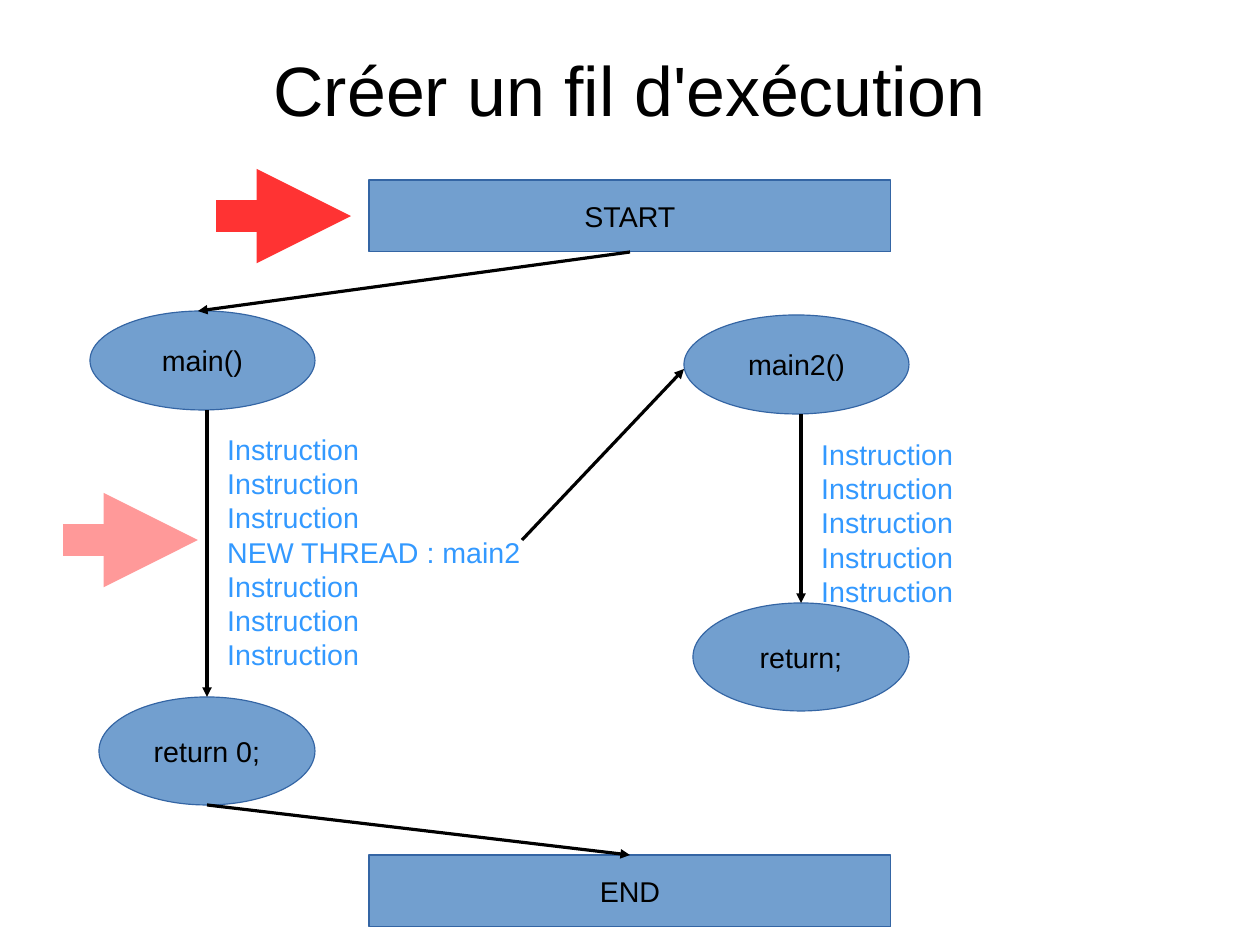
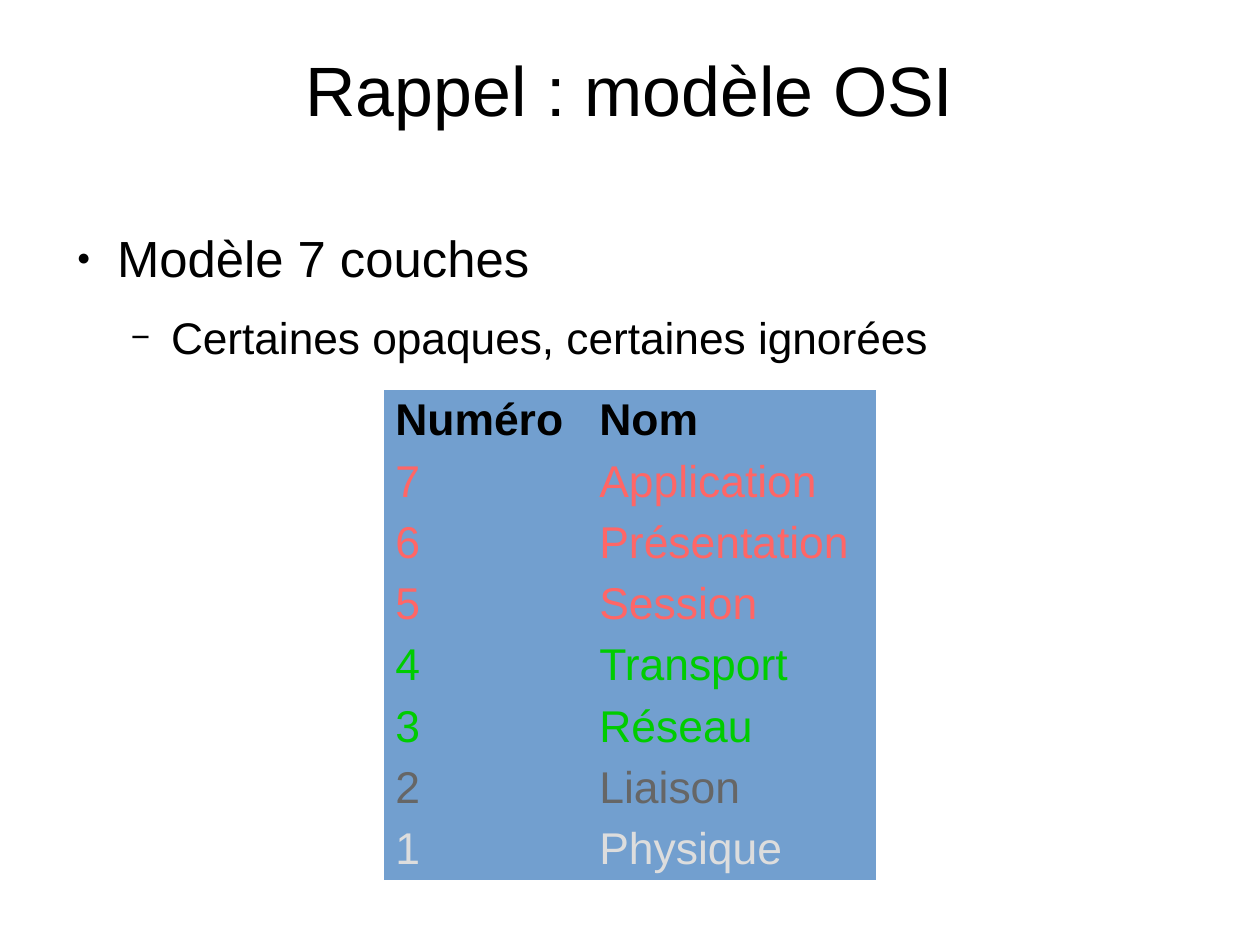
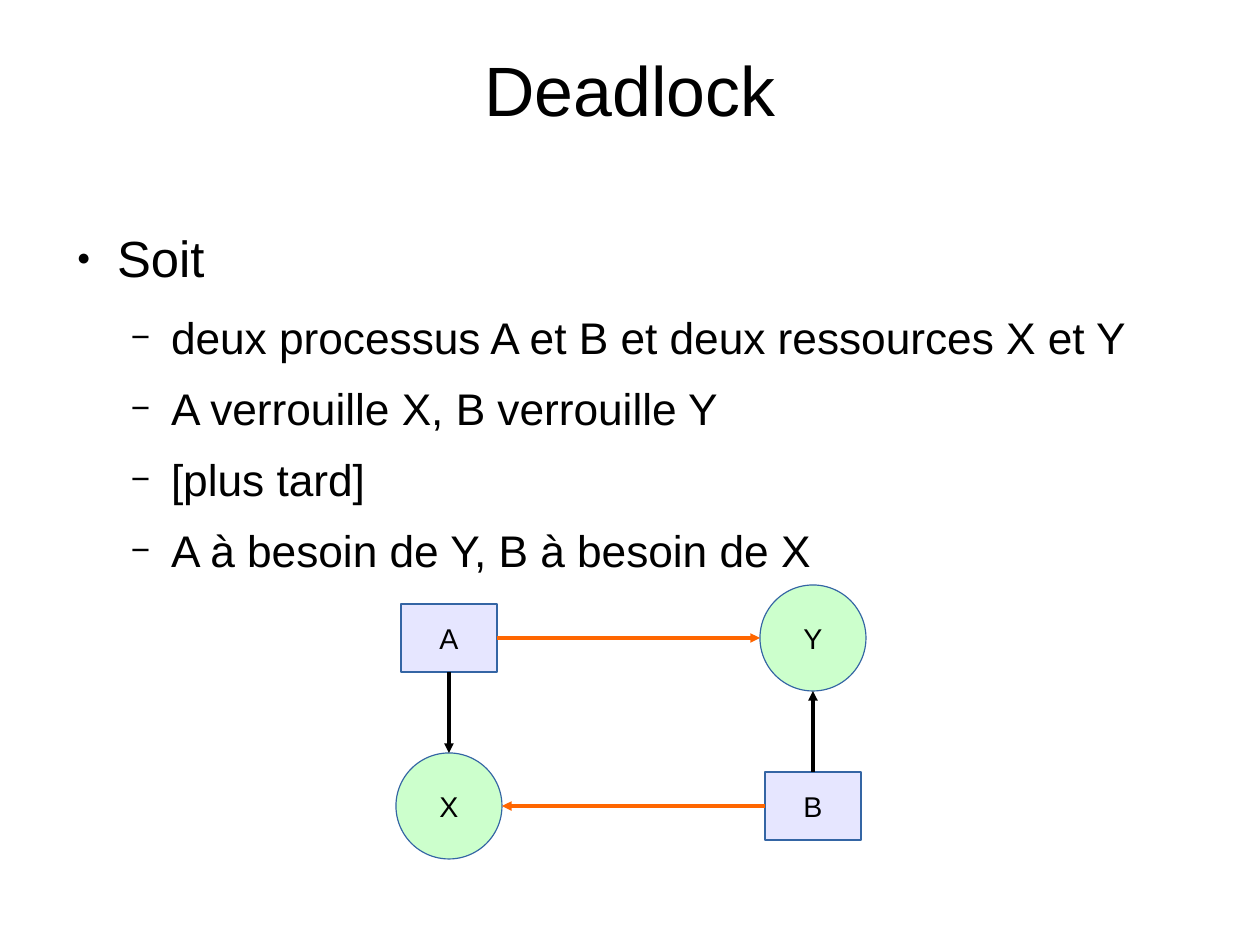
from lxml.etree import SubElement
from pptx import Presentation
from pptx.dml.color import RGBColor
from pptx.enum.shapes import MSO_CONNECTOR as Connector, MSO_SHAPE as Preset
from pptx.enum.text import MSO_ANCHOR as Anchor, MSO_AUTO_SIZE as AutoSize, PP_ALIGN as Align
from pptx.oxml.ns import qn
from pptx.util import Emu, Pt

FONT = "Arial"
BLACK, WHITE = "000000", "FFFFFF"
BLUE, OUTLINE, CODE = "729FCF", "3465A4", "3399FF"
RED, PALE_RED = "FF3333", "FF9999"
LILAC, MINT, ORANGE = "E6E6FF", "CCFFCC", "FF6600"
SALMON, GREEN, GRAY, SILVER = "FF6666", "00CC00", "666666", "DDDDDD"
NO_TABLE_STYLE = "{2D5ABB26-0587-4C30-8999-92F81FD0307C}"

# Rectangle connection sites
TOP, LEFT, BOTTOM, RIGHT = range(4)

# Per list level: character, bullet percent, text size, space after, left margin
LEVELS = [("●", 45, 32, 14.1, 54), ("−", 75, 27.9, 11.3, 108)]
HANGING = -40


def px(length):
    return Emu(length * 8000)


def rgb(value):
    return RGBColor.from_string(value)


def write(paragraph, text, size=18, color=BLACK, bold=False, align=Align.LEFT):
    paragraph.alignment = align
    run = paragraph.add_run()
    run.text = text
    font = run.font
    font.name, font.size, font.bold = FONT, Pt(size), bold
    font.color.rgb = rgb(color)


def paragraphs(frame, count):
    """Return the first paragraph of the frame and as many new ones as needed."""
    return [frame.paragraphs[0]] + [frame.add_paragraph() for _ in range(count - 1)]


def place(shape, left, top, width, height):
    shape.left, shape.top = px(left), px(top)
    shape.width, shape.height = px(width), px(height)


def format_placeholder(placeholder, box, anchor):
    place(placeholder, *box)
    frame = placeholder.text_frame
    frame.margin_left = frame.margin_top = frame.margin_right = frame.margin_bottom = 0
    frame.auto_size = AutoSize.NONE
    frame.vertical_anchor = anchor
    frame.word_wrap = True
    return frame


def add_bullet(paragraph, level, text):
    character, percent, size, space_after, margin = LEVELS[level]
    write(paragraph, text, size=size)
    paragraph.level = level
    paragraph.space_before, paragraph.space_after = Pt(0), Pt(space_after)
    properties = paragraph._p.get_or_add_pPr()
    properties.set("marL", str(px(margin)))
    properties.set("indent", str(px(HANGING)))
    SubElement(SubElement(properties, qn("a:buClr")), qn("a:srgbClr"), val=BLACK)
    SubElement(properties, qn("a:buSzPct"), val=str(percent * 1000))
    SubElement(properties, qn("a:buFont"), typeface=FONT)
    SubElement(properties, qn("a:buChar"), char=character)


def add_slide(presentation, title, bullets=()):
    """Add a slide with the shared title style and, if given, a two-level list."""
    slide = presentation.slides.add_slide(presentation.slide_layouts[1 if bullets else 5])
    frame = format_placeholder(slide.shapes.title, (63, 35, 1134, 107), Anchor.MIDDLE)
    write(frame.paragraphs[0], title, size=44, align=Align.CENTER)
    if bullets:
        body = format_placeholder(slide.placeholders[1], (63, 227, 1134, 547), Anchor.TOP)
        for paragraph, (level, text) in zip(paragraphs(body, len(bullets)), bullets):
            add_bullet(paragraph, level, text)
    return slide


def add_node(slide, preset, text, box, fill=BLUE):
    shape = slide.shapes.add_shape(preset, *map(px, box))
    shape.shadow.inherit = False
    shape.fill.solid()
    shape.fill.fore_color.rgb = rgb(fill)
    shape.line.color.rgb = rgb(OUTLINE)
    shape.line.width = 0
    frame = shape.text_frame
    frame.word_wrap = False
    frame.vertical_anchor = Anchor.MIDDLE
    write(frame.paragraphs[0], text, align=Align.CENTER)
    return shape


def add_code(slide, lines, box):
    frame = slide.shapes.add_textbox(*map(px, box)).text_frame
    frame.word_wrap = True
    for paragraph, line in zip(paragraphs(frame, len(lines)), lines):
        write(paragraph, line, color=CODE)


def add_arrow(slide, start, end, color=BLACK, width=0, begin=None, finish=None):
    """Draw an arrow; begin and finish are optional (rectangle, site) joints."""
    arrow = slide.shapes.add_connector(Connector.STRAIGHT, *map(px, start + end))
    if begin:
        arrow.begin_connect(*begin)
    if finish:
        arrow.end_connect(*finish)
    arrow.line.color.rgb = rgb(color)
    arrow.line.width = Pt(width)
    properties = arrow.element.spPr
    SubElement(properties.find(qn("a:ln")), qn("a:tailEnd"), type="triangle")
    SubElement(properties, qn("a:effectLst"))


def add_table(slide, rows, box, column_widths):
    """Add a table from rows of (cell texts, text colour); the first is the header."""
    graphic = slide.shapes.add_table(len(rows), len(column_widths), *map(px, box))
    graphic.element.find(".//" + qn("a:tableStyleId")).text = NO_TABLE_STYLE
    table = graphic.table
    table.first_row = table.horz_banding = False
    for column, width in zip(table.columns, column_widths):
        column.width = px(width)
    for row_index, (texts, color) in enumerate(rows):
        for column_index, text in enumerate(texts):
            cell = table.cell(row_index, column_index)
            cell.fill.solid()
            cell.fill.fore_color.rgb = rgb(BLUE)
            write(cell.text_frame.paragraphs[0], text, size=28, color=color,
                  bold=row_index == 0)


def build_thread_slide(presentation):
    slide = add_slide(presentation, "Créer un fil d'exécution")
    instruction = ["Instruction"]

    # Program start and end
    start = add_node(slide, Preset.RECTANGLE, "START", (369, 180, 522, 72))
    end = add_node(slide, Preset.RECTANGLE, "END", (369, 855, 522, 72))

    # Main thread and new thread
    add_code(slide, instruction * 3 + ["NEW THREAD : main2"] + instruction * 3,
             (216, 426, 323, 245))
    add_code(slide, instruction * 5, (810, 431, 323, 182))
    for text, box in [
        ("main()", (90, 311, 225, 99)),
        ("return 0;", (99, 697, 216, 108)),
        ("main2()", (684, 315, 225, 99)),
        ("return;", (693, 603, 216, 108)),
    ]:
        add_node(slide, Preset.OVAL, text, box)

    # Flow
    add_arrow(slide, (630, 252), (198, 311), begin=(start, BOTTOM))
    add_arrow(slide, (207, 410), (207, 697))
    add_arrow(slide, (522, 540), (684, 369))
    add_arrow(slide, (801, 414), (801, 603))
    add_arrow(slide, (207, 805), (630, 855), finish=(end, TOP))

    # Execution pointers
    add_arrow(slide, (216, 216), (351, 216), color=RED, width=19.84)
    add_arrow(slide, (63, 540), (198, 540), color=PALE_RED, width=19.84)


def build_osi_slide(presentation):
    slide = add_slide(presentation, "Rappel : modèle OSI", [
        (0, "Modèle 7 couches"),
        (1, "Certaines opaques, certaines ignorées"),
    ])
    layers = [
        ("Application", SALMON), ("Présentation", SALMON), ("Session", SALMON),
        ("Transport", GREEN), ("Réseau", GREEN), ("Liaison", GRAY), ("Physique", SILVER),
    ]
    rows = [(("Numéro", "Nom"), BLACK)]
    rows += [((str(len(layers) - index), name), color)
             for index, (name, color) in enumerate(layers)]
    add_table(slide, rows, (384, 390, 492, 490), (204, 288))


def build_deadlock_slide(presentation):
    slide = add_slide(presentation, "Deadlock", [
        (0, "Soit"),
        (1, "deux processus A et B et deux ressources X et Y"),
        (1, "A verrouille X, B verrouille Y"),
        (1, "[plus tard]"),
        (1, "A à besoin de Y, B à besoin de X"),
    ])
    left, right, upper, lower = 449, 813, 638, 806
    radius = 53

    # Processes and resources, centred on the corners of a rectangle
    process_a, process_b = [
        add_node(slide, Preset.RECTANGLE, text, (x - 48, y - 34, 96, 68), fill=LILAC)
        for text, x, y in [("A", left, upper), ("B", right, lower)]
    ]
    for text, x, y in [("X", left, lower), ("Y", right, upper)]:
        add_node(slide, Preset.OVAL, text,
                 (x - radius, y - radius, 2 * radius, 2 * radius), fill=MINT)

    # Locks held (black) and locks wanted (orange)
    for process, site, target, color in [
        (process_a, BOTTOM, (left, lower - radius), BLACK),
        (process_b, TOP, (right, upper + radius), BLACK),
        (process_a, RIGHT, (right - radius, upper), ORANGE),
        (process_b, LEFT, (left + radius, lower), ORANGE),
    ]:
        add_arrow(slide, target, target, color=color, begin=(process, site))


def main():
    presentation = Presentation()
    presentation.slide_width, presentation.slide_height = px(1260), px(945)
    build_thread_slide(presentation)
    build_osi_slide(presentation)
    build_deadlock_slide(presentation)
    presentation.save("out.pptx")


if __name__ == "__main__":
    main()
